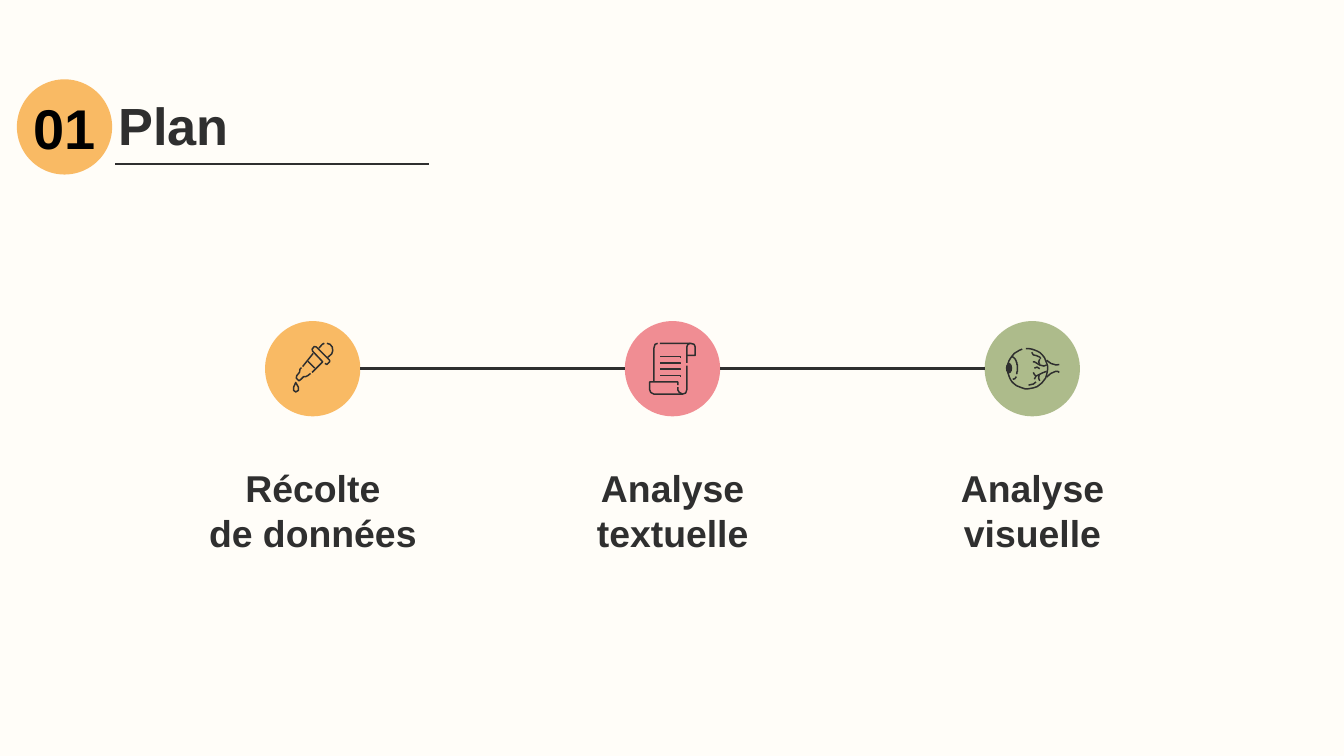
import math
import lxml.etree
import pptx
import pptx.dml.color
import pptx.enum.shapes
import pptx.enum.text
import pptx.oxml.ns
import pptx.util

Cm = pptx.util.Cm
Pt = pptx.util.Pt
RGBColor = pptx.dml.color.RGBColor
ALIGN = pptx.enum.text.PP_ALIGN
ANCHOR = pptx.enum.text.MSO_ANCHOR
SHAPE = pptx.enum.shapes.MSO_SHAPE
LINE = pptx.enum.shapes.MSO_CONNECTOR.STRAIGHT
qn = pptx.oxml.ns.qn

CREAM = RGBColor(0xFF, 0xFD, 0xF8)
INK = RGBColor(0x2F, 0x2F, 0x2F)
BLACK = RGBColor(0, 0, 0)
ORANGE = RGBColor(0xF7, 0x9C, 0x23)
PINK = RGBColor(0xEC, 0x66, 0x70)
GREEN = RGBColor(0x91, 0xA4, 0x66)

SIZE = 1.8
LEFT = 5.01
STEP = 6.8
TOP = 6.07


def arc(x, y, wide, high, start, end):
    turns = [math.radians(start + (end - start) * k / 40) for k in range(41)]
    return [(x + wide * math.cos(t), y + high * math.sin(t)) for t in turns]


def disc(left, top, wide, high, color, alpha=100):
    shape = slide.shapes.add_shape(SHAPE.OVAL, Cm(left), Cm(top), Cm(wide), Cm(high))
    shape.shadow.inherit = False
    shape.fill.solid()
    shape.fill.fore_color.rgb = color
    tint = shape._element.spPr.find(".//" + qn("a:srgbClr"))
    lxml.etree.SubElement(tint, qn("a:alpha"), val=str(alpha * 1000))
    shape.line.fill.background()


DROPPER = [
    [
        [(113, 80), (117, 82), (122, 77), (122, 74), (97, 49), (93, 48), (89, 53),
         (90, 57), (109, 77), (89, 97)],
        [(102, 51), (108, 44), (112, 42)],
        [(117, 42), (123, 44), (127, 49), (128, 56), (126, 62), (118, 69)],
        [(91, 61), (71, 86)],
        [(81, 76), (94, 89)],
    ],
    [[(69, 88), (66, 91), (65, 97), (60, 103), (59, 108), (64, 113), (68, 110),
      (73, 105), (77, 105), (81, 103), (86, 99)]],
    [[(58, 116), (54, 125), (54, 131), (58, 134), (63, 131), (63, 125), (58, 116)]],
]
SCROLL = [
    [
        [(62, 42), (57, 44), (55, 51), (55, 114)],
        [(100, 121), (100, 115), (47, 115), (47, 130), (49, 135), (55, 138),
         (109, 138), (115, 136), (117, 130), (117, 84)],
        [(100, 125), (100, 130), (103, 135), (109, 138)],
    ],
    [
        [(66, 42), (124, 42), (131, 44), (133, 49), (133, 65), (117, 65)],
        [(124, 42), (119, 44), (117, 49), (117, 79)],
    ],
] + [[[(67, 67 + 12 * k), (105, 67 + 12 * k), (105, 68 + 12 * k)]] for k in range(4)]
EYE = [
    [
        arc(81, 90, 38, 38, -95, 255),
        arc(50, 89, 12, 22, -85, 30),
        [(60, 105), (57, 109), (53, 110)],
        [(117, 74), (125, 80), (135, 83), (141, 82)],
        [(117, 106), (125, 99), (134, 95), (138, 95), (141, 97)],
        [(91, 77), (94, 77), (99, 80), (104, 83), (112, 85), (117, 83)],
        [(104, 72), (102, 77), (104, 82)],
        [(117, 95), (109, 98), (97, 104), (94, 110)],
        [(92, 97), (94, 101), (97, 104)],
        [(103, 101), (102, 108), (104, 113)],
    ],
    [[(94, 89), (99, 87), (104, 90)]],
    [[(89, 59), (92, 64), (97, 65), (104, 68), (106, 71)]],
    [[(97, 115), (92, 119), (83, 121)]],
]
STAGES = [
    ("Récolte\vde données", ORANGE, 69, DROPPER),
    ("Analyse\vtextuelle", PINK, 74, SCROLL),
    ("Analyse\vvisuelle", GREEN, 74, EYE),
]

deck = pptx.Presentation()
deck.slide_width = Cm(25.4)
deck.slide_height = Cm(14.29)
slide = deck.slides.add_slide(deck.slide_layouts[5])
slide.background.fill.solid()
slide.background.fill.fore_color.rgb = CREAM

title = slide.shapes.title
title.left, title.top, title.width, title.height = Cm(1.99), Cm(1.51), Cm(21.44), Cm(1.6)
texts = [(title, "Plan", 28, INK, ALIGN.LEFT, ANCHOR.TOP)]

disc(0.32, 1.5, SIZE, SIZE, ORANGE, 69)
box = slide.shapes.add_textbox(Cm(0.25), Cm(0.84), Cm(1.93), Cm(3.12))
texts.append((box, "01", 30, BLACK, ALIGN.CENTER, ANCHOR.MIDDLE))

rules = [(2.18, 8.1, 3.1)]
for k, (name, color, alpha, icon) in enumerate(STAGES):
    left = LEFT + k * STEP
    disc(left, TOP, SIZE, SIZE, color, alpha)
    if k:
        rules.append((left - STEP + SIZE, left, TOP + SIZE / 2))
    box = slide.shapes.add_textbox(Cm(left - 1.85), Cm(8.54), Cm(5.51), Cm(1.4))
    texts.append((box, name, 20, INK, ALIGN.CENTER, ANCHOR.TOP))

    for part in icon:
        pen = slide.shapes.build_freeform(*part[0][0], scale=Cm(0.01))
        for stroke in part:
            pen.move_to(*stroke[0])
            pen.add_line_segments(stroke[1:], close=False)
        shape = pen.convert_to_shape(Cm(left), Cm(TOP))
        shape.shadow.inherit = False
        shape.fill.background()
        shape.line.color.rgb = INK
        shape.line.width = Pt(0.8)

disc(LEFT + 2 * STEP + 0.4, TOP + 0.79, 0.12, 0.2, INK)

for start, end, top in rules:
    rule = slide.shapes.add_connector(LINE, Cm(start), Cm(top), Cm(end), Cm(top))
    rule.line.color.rgb = INK
    rule.line.width = Pt(1.5)
    lxml.etree.SubElement(rule._element.spPr, qn("a:effectLst"))

for box, words, size, color, align, anchor in texts:
    frame = box.text_frame
    frame.text = words
    frame.word_wrap = True
    frame.auto_size = pptx.enum.text.MSO_AUTO_SIZE.NONE
    frame.vertical_anchor = anchor
    frame.margin_left = frame.margin_right = Cm(0.25)
    frame.margin_top = frame.margin_bottom = Cm(0.25)
    line = frame.paragraphs[0]
    line.alignment = align
    for run in line.runs:
        run.font.name = "Arial"
        run.font.size = Pt(size)
        run.font.bold = True
        run.font.color.rgb = color

deck.save("out.pptx")
